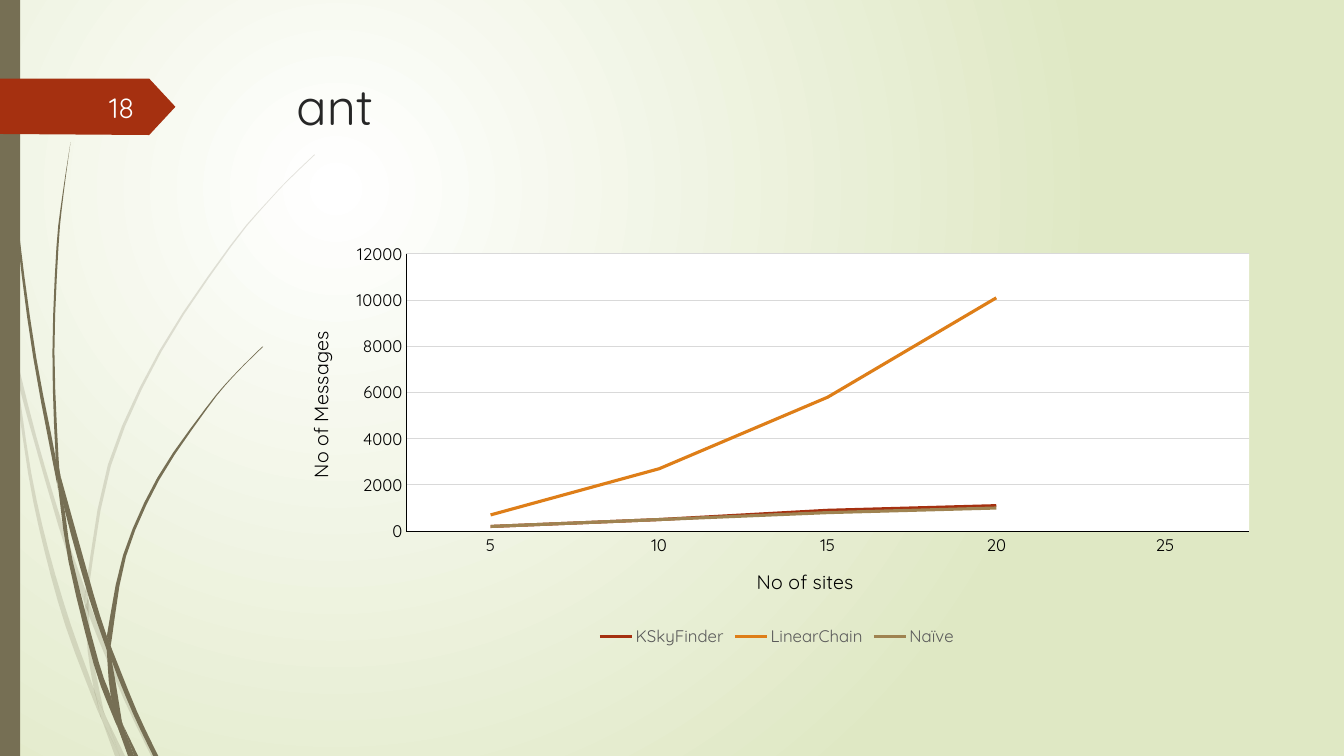
from lxml import etree
from pptx import Presentation, util as u
from pptx.chart.data import CategoryChartData
from pptx.dml.color import RGBColor
from pptx.enum import chart as ch, shapes, text
from pptx.oxml import ns

TITLE, PAGE = "ant", "18"
SITES = ["5", "10", "15", "20", "25"]
SERIES = [
    ("KSkyFinder", [200, 500, 900, 1100, None], "A53010"),
    ("LinearChain", [700, 2700, 5800, 10100, None], "DE7E18"),
    ("Naïve", [200, 500, 800, 1000, None], "9F8351"),
]
TAG = [(0, .78), (1.48, .78), (1.74, 1.06), (1.48, 1.34), (0, 1.33)]
# Each piece of grass has a near edge and a far edge, both from top to root.
PALE = [
    ([(0, 2.82), (.09, 3.22), (.11, 3.5)], [(0, 2.99), (.1, 3.44), (.11, 3.5)]),
    ([(.14, 3.45), (.17, 3.76), (.58, 5.22), (.84, 5.99)],
     [(.14, 3.45), (.36, 4.33), (.62, 5.2), (.85, 5.86)]),
    ([(.88, 5.96), (.88, 6.1), (1.23, 6.94), (1.5, 7.5)],
     [(.88, 5.96), (.92, 6.07), (1.27, 6.92), (1.55, 7.5)]),
    ([(1.05, 7.11), (1.19, 7.5)], [(1.05, 7.11), (1.24, 7.5)]),
    ([(.11, 3.5), (.28, 4.7), (.44, 5.46), (.65, 6.21), (.92, 6.93), (1.01, 7.14)],
     [(.11, 3.5), (.17, 3.76), (.31, 4.69), (.48, 5.45), (.7, 6.19), (.93, 6.83),
      (.99, 7.07)]),
    ([(.84, 5.99), (.87, 6.46), (.93, 6.83), (.96, 6.92), (1.05, 7.11)],
     [(.84, 5.99), (.88, 6.08), (.91, 6.46), (1.03, 7.06)]),
    ([(3.12, 1.53), (2.89, 1.75), (2.68, 1.97), (2.28, 2.44), (1.58, 3.48), (1.07, 4.61),
      (.85, 5.84), (.85, 5.86)],
     [(3.12, 1.54), (2.9, 1.75), (2.68, 1.98), (2.29, 2.45), (1.6, 3.49), (1.1, 4.62),
      (.88, 5.84), (.88, 5.96)]),
    ([(1.01, 7.14), (1.14, 7.5)], [(1.01, 7.14), (1.19, 7.5)]),
    ([(.85, 5.86), (.84, 5.99), (.88, 6.08)], [(.88, 5.96), (.88, 6.1)]),
    ([(.93, 6.83), (.99, 7.07), (1.01, 7.14), (1.19, 7.5)],
     [(.93, 6.83), (.96, 6.92), (1.05, 7.11), (1.19, 7.5)]),
]
DARK = [
    ([(.03, 0), (.04, .48), (.07, 1.1), (.17, 2.33), (.33, 3.55), (.56, 4.77), (.57, 4.81)],
     [(.04, 0), (.05, .48), (.08, 1.09), (.19, 2.32), (.36, 3.55), (.55, 4.53), (.57, 4.81)]),
    ([(.6, 4.72), (.64, 5.05), (.88, 5.92), (1.06, 6.45)],
     [(.6, 4.72), (.93, 5.9), (1.06, 6.31)]),
    ([(1.1, 6.41), (1.11, 6.56), (1.32, 7.08), (1.52, 7.5)],
     [(1.1, 6.41), (1.13, 6.49), (1.36, 7.06), (1.57, 7.5)]),
    ([(.57, 4.77), (.68, 5.57), (.93, 6.59), (1.11, 7.08), (1.17, 7.22)],
     [(.57, 4.77), (.64, 5.05), (.72, 5.56), (.98, 6.57), (1.1, 6.91), (1.16, 7.17)]),
    ([(.7, 1.41), (.62, 1.93), (.56, 2.45), (.52, 3.49), (.55, 4.49), (.6, 4.72)],
     [(.7, 1.41), (.63, 1.93), (.58, 2.45), (.54, 3.49), (.58, 4.53), (.6, 4.72)]),
    ([(1.22, 7.19), (1.33, 7.5)], [(1.22, 7.19), (1.37, 7.5)]),
    ([(.55, 4.49), (.57, 4.77), (.64, 5.05)], [(.55, 4.49), (.6, 4.72), (.64, 5.05)]),
    ([(2.6, 3.44), (2.31, 3.73), (2.04, 4.05), (1.56, 4.74), (1.22, 5.51), (1.06, 6.31)],
     [(2.61, 3.44), (2.31, 3.74), (2.05, 4.06), (1.58, 4.76), (1.25, 5.52), (1.11, 6.33),
      (1.1, 6.41)]),
    ([(1.17, 7.22), (1.27, 7.5)], [(1.17, 7.22), (1.31, 7.5)]),
    ([(1.06, 6.45), (1.1, 6.91), (1.22, 7.19)], [(1.06, 6.45), (1.11, 6.56), (1.21, 7.16)]),
    ([(1.06, 6.31), (1.06, 6.45), (1.11, 6.56)], [(1.06, 6.31), (1.1, 6.41), (1.11, 6.56)]),
    ([(1.1, 6.91), (1.17, 7.22), (1.3, 7.5)], [(1.1, 6.91), (1.22, 7.19), (1.33, 7.5)]),
]


class Theme:
    """Colours, font and type sizes."""
    font, head, num, label, small = "Quicksand", 36, 20, 14, 12
    glow, back, grass, tag = "FFFFFF", "DFE8C4", "766F54", "A53010"
    ink, page, axis, grid, key = "262626", "FEFFFF", "000000", "D9D9D9", "595959"


def style(font, size, color):
    """Set face, size and colour of a font."""
    font.name, font.size, font.bold = Theme.font, u.Pt(size), False
    font.color.rgb = RGBColor.from_string(color)


def stroke(line, color, width):
    """Set colour and width of a line."""
    line.color.rgb, line.width = RGBColor.from_string(color), u.Pt(width)


def paint(shape, color, alpha=100):
    """Give a shape a plain fill, without line or shadow."""
    shape.shadow.inherit = False
    shape.line.fill.background()
    shape.fill.solid()
    shape.fill.fore_color.rgb = RGBColor.from_string(color)
    if alpha < 100:
        tint = shape.element.spPr.find(".//" + ns.qn("a:srgbClr"))
        etree.SubElement(tint, ns.qn("a:alpha"), val=str(alpha * 1000))


def smooth(knots, steps=3):
    """Pass a Catmull-Rom curve through the knots."""
    if len(knots) == 2:
        return knots
    ends, curve = [knots[0], *knots, knots[-1]], []
    for quad in zip(ends, ends[1:], ends[2:], ends[3:]):
        for t in (i / steps for i in range(steps)):
            curve.append([b + t / 2 * (c - a + t * (2*a - 5*b + 4*c - d
                          + t * (3*b - a - 3*c + d))) for a, b, c, d in zip(*quad)])
    return curve + [knots[-1]]


def outline(slide, points, color, alpha=100):
    """Draw a closed outline."""
    first, *rest = [(u.Inches(x), u.Inches(y)) for x, y in points]
    form = slide.shapes.build_freeform(*first, scale=1.0)
    form.add_line_segments(rest, close=True)
    paint(form.convert_to_shape(), color, alpha)


def backdrop(slide):
    """Lay a round glow behind the slide."""
    fill = slide.background.fill
    fill.gradient()
    for stop, color in zip(fill.gradient_stops, (Theme.glow, Theme.back)):
        stop.color.rgb = RGBColor.from_string(color)
    grad = slide.element.find(".//" + ns.qn("a:gradFill"))
    grad.remove(grad.find(ns.qn("a:lin")))
    ring = etree.SubElement(grad, ns.qn("a:path"), path="circle")
    etree.SubElement(ring, ns.qn("a:fillToRect"), l="50000", t="50000", r="100000", b="100000")


def place(part, index, x, y, *size):
    """Fix a chart part, in inches from the chart's corner."""
    for old in part.findall(ns.qn("c:layout")):
        part.remove(old)
    box = etree.Element(ns.qn("c:layout"))
    part.insert(index, box)
    man = etree.SubElement(box, ns.qn("c:manualLayout"))
    tags = [("layoutTarget", "inner")] if size else []
    tags += [("xMode", "edge"), ("yMode", "edge")]
    tags += zip("xywh", (n / full for n, full in zip((x, y, *size), (9.75, 4.13) * 2)))
    for tag, val in tags:
        etree.SubElement(man, ns.qn("c:" + tag), val=str(val))


def dress(axis, name, x, y):
    """Format an axis and its title."""
    axis.major_tick_mark = axis.minor_tick_mark = ch.XL_TICK_MARK.NONE
    style(axis.tick_labels.font, Theme.small, Theme.axis)
    stroke(axis.format.line, Theme.axis, .75)
    para = axis.axis_title.text_frame.paragraphs[0]
    para.text = name
    style(para.font, Theme.label, Theme.axis)
    place(axis.axis_title.text_frame._txBody.getparent().getparent(), 1, x, y)


def graph(slide):
    """Add the line chart of messages by sites."""
    data = CategoryChartData()
    data.categories = SITES
    for name, vals, _ in SERIES:
        data.add_series(name, vals)
    box = [u.Inches(n) for n in (2.83, 2.33, 9.75, 4.13)]
    chart = slide.shapes.add_chart(ch.XL_CHART_TYPE.LINE, *box, data).chart
    chart.has_title, chart.has_legend = False, True
    chart.legend.position = ch.XL_LEGEND_POSITION.BOTTOM
    chart.legend.include_in_layout = False
    style(chart.legend.font, Theme.small, Theme.key)
    chart.plots[0].vary_by_categories = False
    for line, (_, _, color) in zip(chart.plots[0].series, SERIES):
        line.smooth, line.marker.style = False, ch.XL_MARKER_STYLE.NONE
        stroke(line.format.line, color, 2.25)
    rise = chart.value_axis
    rise.minimum_scale, rise.maximum_scale, rise.major_unit = 0, 12000, 2000
    stroke(rise.major_gridlines.format.line, Theme.grid, .75)
    dress(chart.category_axis, "No of sites", 4.64, 3.26)
    dress(rise, "No of Messages", .17, .92)
    area = chart.element.find(".//" + ns.qn("c:plotArea"))
    place(area, 0, 1.2, .19, 8.36, 2.75)
    fill = etree.SubElement(etree.SubElement(area, ns.qn("c:spPr")), ns.qn("a:solidFill"))
    etree.SubElement(fill, ns.qn("a:srgbClr"), val=Theme.glow)


def write(shape, words, size, color, align, anchor, *box):
    """Move a text shape and fill it with one line."""
    shape.left, shape.top, shape.width, shape.height = (u.Inches(n) for n in box)
    frame = shape.text_frame
    frame.word_wrap, frame.vertical_anchor = True, anchor
    para = frame.paragraphs[0]
    para.text, para.alignment = words, align
    style(para.font, size, color)


deck = Presentation()
deck.slide_width, deck.slide_height = u.Inches(13.33), u.Inches(7.5)
slide = deck.slides.add_slide(deck.slide_layouts[5])
backdrop(slide)
for group, alpha in ((PALE, 20), (DARK, 100)):
    for near, far in group:
        outline(slide, smooth(near) + smooth(far)[::-1], Theme.grass, alpha)
bar = slide.shapes.add_shape(shapes.MSO_SHAPE.RECTANGLE, 0, 0, u.Inches(.2), deck.slide_height)
paint(bar, Theme.grass)
outline(slide, TAG, Theme.tag)
write(slide.shapes.title, TITLE, Theme.head, Theme.ink, text.PP_ALIGN.LEFT,
      text.MSO_ANCHOR.TOP, 2.84, .69, 9.75, 1.4)
write(slide.shapes.add_textbox(0, 0, 0, 0), PAGE, Theme.num, Theme.page,
      text.PP_ALIGN.RIGHT, text.MSO_ANCHOR.MIDDLE, .58, .86, .85, .4)
graph(slide)
deck.save("out.pptx")
